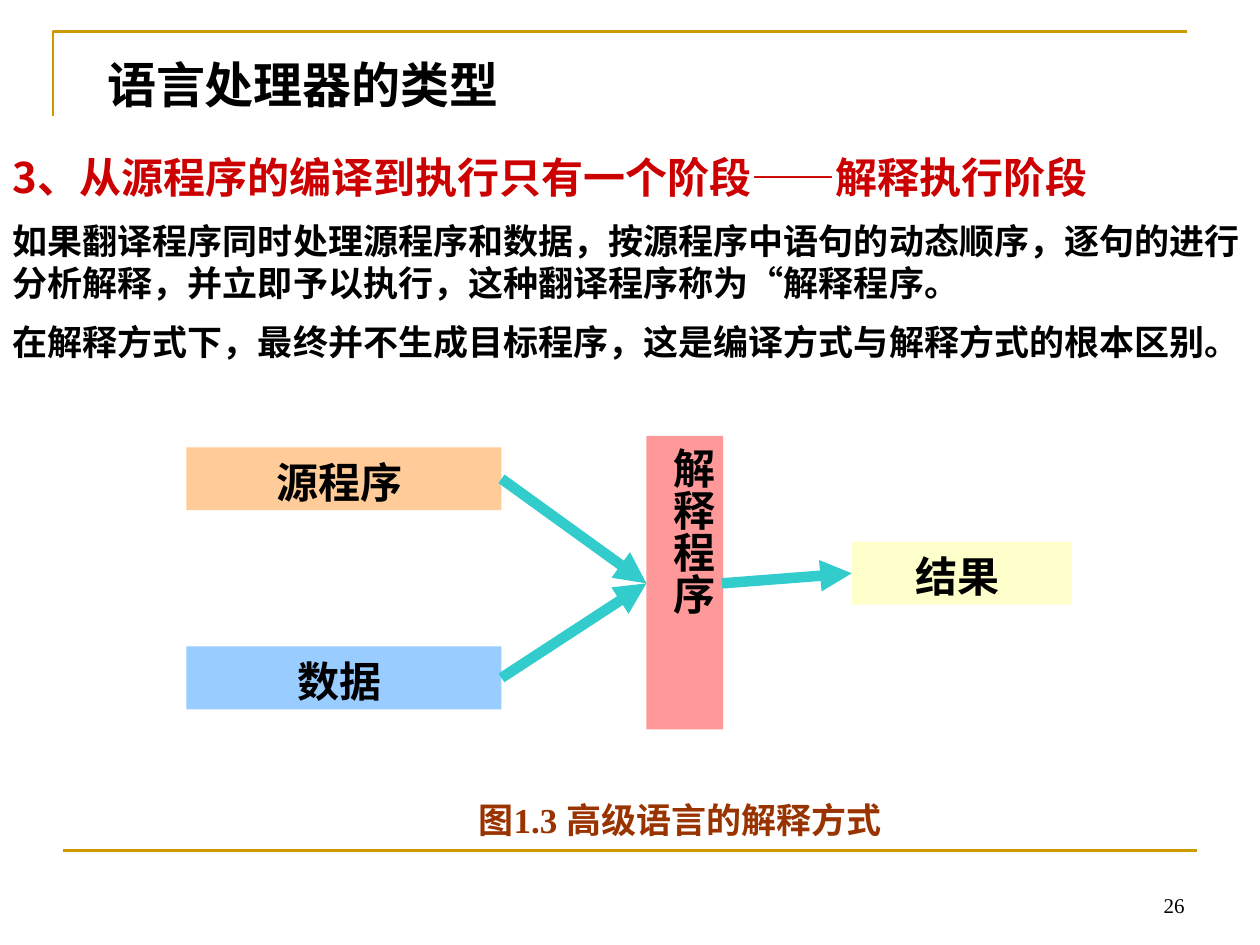
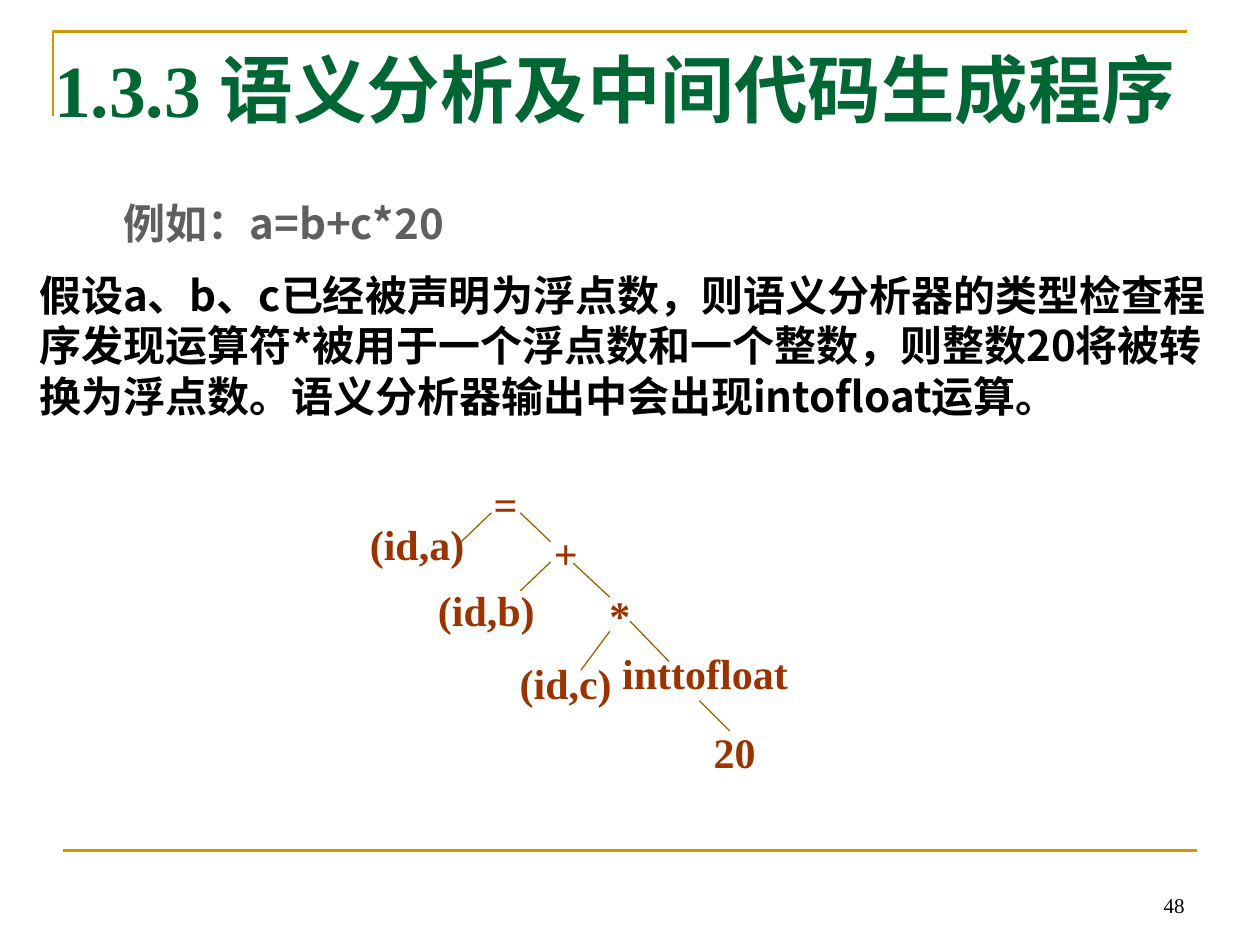
"""Build two lecture slides on interpreters and semantic analysis."""
from lxml import etree
from pptx import Presentation, util as u
from pptx.dml.color import RGBColor
from pptx.enum import shapes, text
from pptx.oxml import ns

COLORS = {
    "gold": "CC9900", "black": "000000", "red": "CC0000", "orange": "FFCC99",
    "blue": "99CCFF", "pink": "FF9999", "yellow": "FFFFCC", "teal": "33CCCC",
    "brown": "993300", "gray": "5F5F5F", "green": "006633", "branch": "996600",
}
SANS = "Noto Sans CJK SC"
SERIF = "Times New Roman"
ALIGN = text.PP_ALIGN


def rgb(name):
    return RGBColor.from_string(COLORS[name])


def add_paragraph(frame, words, size=24, color="black", font=SANS, bold=True,
                  align=ALIGN.LEFT, leading=1.2, indent=0):
    first = frame.paragraphs[0]
    paragraph = first if not first.runs else frame.add_paragraph()
    paragraph.alignment = align
    paragraph.space_before = u.Pt(0 if paragraph is first else size / 2)
    paragraph.space_after = u.Pt(0)
    paragraph.line_spacing = u.Pt(size * leading) if leading else 1.0
    properties = paragraph._p.get_or_add_pPr()
    properties.set("marL", "0")
    properties.set("indent", str(u.Inches(indent)))
    etree.SubElement(properties, ns.qn("a:buNone"))
    run = paragraph.add_run()
    run.text = words
    run.font.name = font
    run.font.size = u.Pt(size)
    run.font.bold = bold
    run.font.color.rgb = rgb(color)
    east_asian = etree.SubElement(run._r.get_or_add_rPr(), ns.qn("a:ea"))
    east_asian.set("typeface", SANS)


class Deck:
    def __init__(self):
        self.presentation = Presentation()
        self.presentation.slide_width = u.Inches(10)
        self.presentation.slide_height = u.Inches(7.5)
        self.slide = None

    def new_slide(self, number):
        layout = self.presentation.slide_layouts[1]
        self.slide = self.presentation.slides.add_slide(layout)
        self.corner()
        self.line((0.5, 6.75), (9.5, 6.75), "gold", 1.5)
        self.label((7.17, 6.83, 2.33, 0.5), str(number), anchor=text.MSO_ANCHOR.BOTTOM,
                   size=12, font=SERIF, bold=False, align=ALIGN.RIGHT, leading=None)

    def corner(self):
        builder = self.slide.shapes.build_freeform(u.Inches(0.42), u.Inches(0.92))
        points = [(u.Inches(x), u.Inches(y)) for x, y in [(0.42, 0.25), (9.42, 0.25)]]
        builder.add_line_segments(points, close=False)
        shape = builder.convert_to_shape()
        shape.shadow.inherit = False
        shape.fill.background()
        shape.line.color.rgb = rgb("gold")
        shape.line.width = u.Pt(1.5)

    def place(self, shape, bounds):
        shape.left, shape.top, shape.width, shape.height = map(u.Inches, bounds)

    def frame(self, shape, top_margin=0.07, anchor=text.MSO_ANCHOR.TOP):
        frame = shape.text_frame
        frame.word_wrap = True
        frame.auto_size = text.MSO_AUTO_SIZE.NONE
        frame.vertical_anchor = anchor
        frame.margin_left = frame.margin_right = u.Inches(0.1)
        frame.margin_top = u.Inches(top_margin)
        frame.margin_bottom = u.Inches(0.05)
        return frame

    def title(self, bounds, words, **style):
        shape = self.slide.shapes.title
        self.place(shape, bounds)
        add_paragraph(self.frame(shape), words, font=SERIF, **style)

    def body(self, bounds, paragraphs):
        shape = self.slide.placeholders[1]
        self.place(shape, bounds)
        frame = self.frame(shape)
        for words, style in paragraphs:
            add_paragraph(frame, words, **style)

    def label(self, bounds, words, anchor=text.MSO_ANCHOR.TOP, **style):
        shape = self.slide.shapes.add_textbox(*map(u.Inches, bounds))
        top_margin = 0.07 if style.get("leading", 1.2) else 0.05
        add_paragraph(self.frame(shape, top_margin, anchor), words, **style)

    def box(self, bounds, words, color, vertical=False):
        shape = self.slide.shapes.add_shape(
            shapes.MSO_SHAPE.RECTANGLE, *map(u.Inches, bounds))
        shape.shadow.inherit = False
        shape.fill.solid()
        shape.fill.fore_color.rgb = rgb(color)
        shape.line.fill.background()
        frame = self.frame(shape)
        if vertical:
            frame._txBody.bodyPr.set("vert", "eaVert")
            frame.margin_top = u.Inches(0.09)
            frame.margin_right = u.Inches(0.04)
        add_paragraph(frame, words, align=ALIGN.LEFT if vertical else ALIGN.CENTER)

    def line(self, start, end, color, width, arrow=False):
        connector = self.slide.shapes.add_connector(
            shapes.MSO_CONNECTOR.STRAIGHT, *map(u.Inches, start + end))
        connector.line.color.rgb = rgb(color)
        connector.line.width = u.Pt(width)
        if arrow:
            tail = etree.SubElement(connector.line._get_or_add_ln(), ns.qn("a:tailEnd"))
            tail.set("type", "triangle")
        etree.SubElement(connector._element.spPr, ns.qn("a:effectLst"))


def build_interpreter(deck):
    deck.new_slide(26)
    deck.title((0.75, 0.36, 8.27, 0.57), "语言处理器的类型", size=28)
    deck.body((0, 1.13, 10, 1.83), [
        ("3、从源程序的编译到执行只有一个阶段——解释执行阶段", {"color": "red"}),
        ("如果翻译程序同时处理源程序和数据，按源程序中语句的动态顺序，逐句的进行"
         "分析解释，并立即予以执行，这种翻译程序称为“解释程序。", {"size": 20}),
        ("在解释方式下，最终并不生成目标程序，这是编译方式与解释方式的根本区别。",
         {"size": 20}),
    ])
    deck.box((1.48, 3.55, 2.5, 0.5), "源程序 ", "orange")
    deck.box((1.48, 5.13, 2.5, 0.5), "数据 ", "blue")
    deck.box((5.13, 3.46, 0.61, 2.33), "解释程序 ", "pink", vertical=True)
    deck.box((6.76, 4.3, 1.75, 0.5), "结果 ", "yellow")
    interpreter_left, interpreter_right = (5.13, 4.63), (5.73, 4.63)
    for start, end in [((3.98, 3.8), interpreter_left),
                       ((3.98, 5.38), interpreter_left),
                       (interpreter_right, (6.76, 4.55))]:
        deck.line(start, end, "teal", 6, arrow=True)
    deck.label((2.64, 6.27, 5.58, 0.43), "图1.3 高级语言的解释方式 ", size=20,
               color="brown", font=SERIF, align=ALIGN.CENTER)


def build_semantics(deck):
    deck.new_slide(48)
    deck.title((0.33, 0.28, 9.67, 0.83), "1.3.3 语义分析及中间代码生成程序",
               size=42, color="green")
    deck.body((0.21, 1.5, 9.58, 1.92), [
        ("例如：a=b+c*20", {"color": "gray", "indent": 0.67}),
        ("假设a、b、c已经被声明为浮点数，则语义分析器的类型检查程序发现运算符*"
         "被用于一个浮点数和一个整数，则整数20将被转换为浮点数。"
         "语义分析器输出中会出现intofloat运算。", {}),
    ])
    node_style = {"color": "brown", "font": SERIF, "leading": None}
    deck.label((3.82, 3.75, 0.55, 0.5), "=", **node_style)
    nodes = [("(id,a)", 2.72, 4.07, 1.18), ("(id,b)", 3.27, 4.59, 1.18),
             ("20", 5.24, 5.72, 1.18), ("*", 4.33, 4.63, 1.18),
             ("(id,c)", 3.9, 5.17, 1.18), ("+", 3.9, 4.14, 1.18),
             ("inttofloat", 4.69, 5.09, 1.81)]
    for words, left, top, width in nodes:
        deck.label((left, top, width, 0.5), words, align=ALIGN.CENTER, **node_style)
    branches = [((3.9, 4.07), (3.66, 4.3)), ((4.13, 4.07), (4.37, 4.3)),
                ((4.37, 4.46), (4.13, 4.69)), ((4.55, 4.47), (4.84, 4.74)),
                ((4.84, 5.01), (4.61, 5.32)), ((5, 4.93), (5.31, 5.25)),
                ((5.55, 5.56), (5.79, 5.8))]
    for start, end in branches:
        deck.line(start, end, "branch", 0.75)


def main():
    deck = Deck()
    build_interpreter(deck)
    build_semantics(deck)
    deck.presentation.save("out.pptx")


if __name__ == "__main__":
    main()
